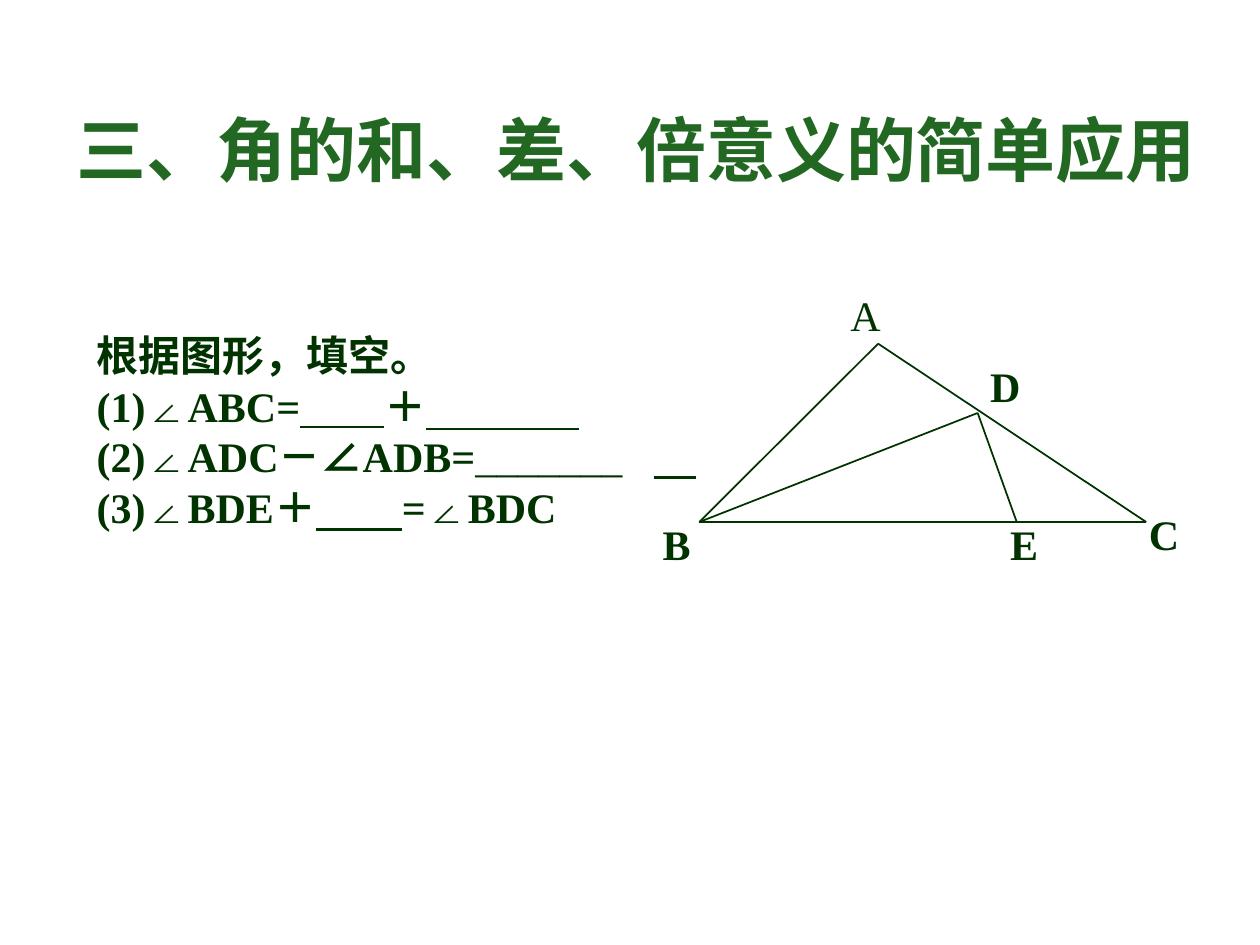
"""Build a geometry slide with fill-in angle questions and a labelled triangle."""
from typing import NamedTuple

import pptx
import pptx.dml.color
import pptx.enum.shapes
import pptx.enum.text
import pptx.oxml
import pptx.oxml.ns
import pptx.util

Pt = pptx.util.Pt
ANCHOR = pptx.enum.text.MSO_ANCHOR
INK = "003300"
GREEN = "226822"


class Run(NamedTuple):
    text: str
    underline: bool = False
    bold: bool = True


class Label(NamedTuple):
    text: str
    left: float
    top: float
    width: float
    bold: bool = True


POINTS = {"A": (501.8, 196.4), "B": (399.6, 298.3), "C": (655, 298.3),
          "D": (558.7, 236), "E": (581, 298.3)}
SEGMENTS = ["BA", "AC", "BC", "BD", "DE"]
LABELS = [
    Label("A", 478.8, 162, 45.4, False),
    Label("B", 371.5, 293, 30.2),
    Label("C", 649.4, 287.3, 31.7),
    Label("D", 558.7, 202.3, 31.7),
    Label("E", 570.2, 293, 30.2),
]
QUESTIONS = [
    [Run("根据图形，填空。")],
    [Run("(1)∠ABC="), Run(" " * 8, True), Run("＋"), Run(" " * 16, True)],
    [Run("(2)∠ADC－∠ADB="), Run("_______   ", bold=False), Run(" " * 4, True)],
    [Run("(3)∠BDE＋"), Run(" " * 9, True), Run("=∠BDC")],
]


def rgb(value: str) -> pptx.dml.color.RGBColor:
    return pptx.dml.color.RGBColor.from_string(value)


def set_font(p, name: str, size: float, color: str) -> None:
    p.font.name = name
    p.font.size = Pt(size)
    p.font.color.rgb = rgb(color)


def add_title(s, text: str) -> None:
    sp = s.shapes.title
    sp.left, sp.top, sp.width, sp.height = Pt(36.7), Pt(49), Pt(745), Pt(72)
    tf = sp.text_frame
    tf.vertical_anchor = ANCHOR.MIDDLE
    tf.text = text
    p = tf.paragraphs[0]
    p.alignment = pptx.enum.text.PP_ALIGN.LEFT
    set_font(p, "DejaVu Sans", 40, GREEN)
    p.font.bold = True


def add_questions(s) -> None:
    sp = s.shapes.add_textbox(Pt(48.2), Pt(185), Pt(386), Pt(122.4))
    tf = sp.text_frame
    tf.word_wrap = True
    tf.vertical_anchor = ANCHOR.MIDDLE
    for i, runs in enumerate(QUESTIONS):
        p = tf.add_paragraph() if i else tf.paragraphs[0]
        set_font(p, "Times New Roman", 24, INK)
        for run in runs:
            r = p.add_run()
            r.text = run.text
            r.font.bold = run.bold
            r.font.underline = run.underline


def add_segment(shapes, start: str, end: str) -> None:
    ends = [Pt(v) for name in (start, end) for v in POINTS[name]]
    sp = shapes.add_connector(pptx.enum.shapes.MSO_CONNECTOR.STRAIGHT, *ends)
    sp.line.color.rgb = rgb(INK)
    sp.line.width = Pt(1)
    effects = pptx.oxml.parse_xml(f"<a:effectLst {pptx.oxml.ns.nsdecls('a')}/>")
    sp._element.spPr.append(effects)


def add_label(shapes, label: Label) -> None:
    sp = shapes.add_textbox(Pt(label.left), Pt(label.top), Pt(label.width), Pt(36))
    tf = sp.text_frame
    tf.word_wrap = False
    tf.text = label.text
    p = tf.paragraphs[0]
    set_font(p, "Times New Roman", 24, INK)
    p.font.bold = label.bold


def main() -> None:
    prs = pptx.Presentation()
    prs.slide_width, prs.slide_height = Pt(720), Pt(540)
    s = prs.slides.add_slide(prs.slide_layouts[5])
    add_title(s, "三、角的和、差、倍意义的简单应用")
    add_questions(s)
    triangle = s.shapes.add_group_shape().shapes
    for start, end in SEGMENTS:
        add_segment(triangle, start, end)
    for label in LABELS:
        add_label(triangle, label)
    prs.save("out.pptx")


if __name__ == "__main__":
    main()
